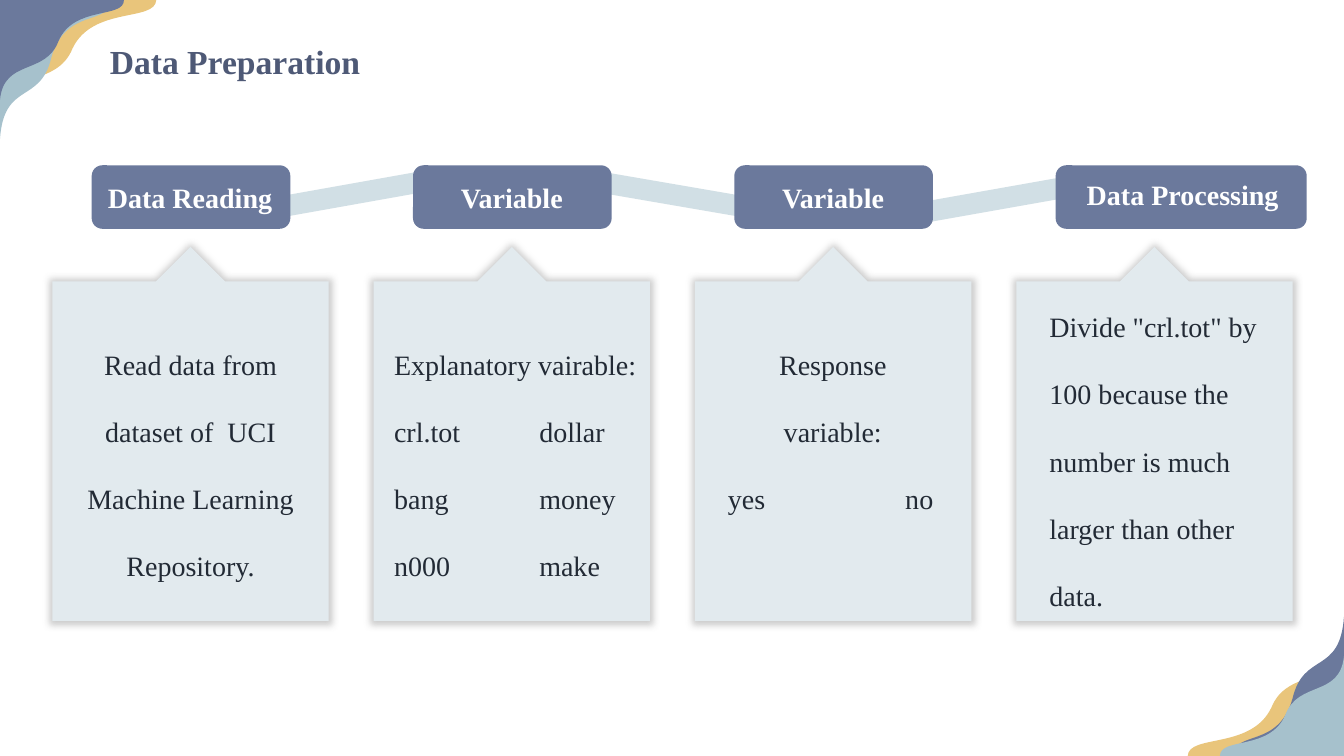
import pptx
import pptx.dml.color
import pptx.enum.shapes
import pptx.enum.text
import pptx.oxml
import pptx.oxml.ns
import pptx.util

Inches = pptx.util.Inches
Pt = pptx.util.Pt
Shapes = pptx.enum.shapes.MSO_SHAPE
Align = pptx.enum.text.PP_ALIGN

WIDTH, HEIGHT = 13.33, 7.5
SLATE, MIST, GOLD = "6B799C", "A6C1CC", "E9C57B"
PALE, BAND, INK, WHITE = "E2EAEE", "D1DFE5", "222A35", "FFFFFF"
STEP = 9.56 / 3


def color(hex_string):
    return pptx.dml.color.RGBColor.from_string(hex_string)


def element(xml):
    return pptx.oxml.parse_xml(xml.replace(">", f" {pptx.oxml.ns.nsdecls('a')}>", 1))


def write(box, lines, size=20, ink=INK, bold=False, spacing=None, aligns=(), tab=None):
    """Fill a text box, one paragraph per line; aligns may name one per line."""
    frame = box.text_frame
    frame.word_wrap = True
    frame.auto_size = pptx.enum.text.MSO_AUTO_SIZE.SHAPE_TO_FIT_TEXT
    for index, line in enumerate(lines):
        para = frame.paragraphs[0] if index == 0 else frame.add_paragraph()
        para.alignment = aligns[index] if index < len(aligns) else Align.LEFT
        if spacing:
            para.line_spacing = spacing
        if tab and "\t" in line:
            para._p.get_or_add_pPr().append(element(
                f'<a:tabLst><a:tab pos="{Inches(tab)}" algn="l"/></a:tabLst>'))
        span = para.add_run()
        span.text = line
        span.font.name = "Times New Roman"
        span.font.size = Pt(size)
        span.font.bold = bold
        span.font.color.rgb = color(ink)


class Page:
    def __init__(self, deck):
        self.shapes = deck.slides.add_slide(deck.slide_layouts[6]).shapes

    def paint(self, shape, fill):
        shape.shadow.inherit = False
        shape.fill.solid()
        shape.fill.fore_color.rgb = color(fill)
        shape.line.fill.background()
        return shape

    def block(self, kind, left, top, width, height, fill):
        shape = self.shapes.add_shape(
            kind, Inches(left), Inches(top), Inches(width), Inches(height))
        return self.paint(shape, fill)

    def callout(self, left):
        shape = self.block(Shapes.UP_ARROW_CALLOUT, left, 2.45, 2.74, 3.71, PALE)
        for index, value in enumerate((0.565, 0.125, 0.125, 0.908)):
            shape.adjustments[index] = value
        effects = shape._element.spPr.find(pptx.oxml.ns.qn("a:effectLst"))
        effects.append(element(
            f'<a:outerShdw blurRad="{Pt(5)}" sx="102000" sy="102000" algn="ctr" '
            'rotWithShape="0"><a:srgbClr val="808080"><a:alpha val="40000"/>'
            '</a:srgbClr></a:outerShdw>'))

    def band(self, start, end):
        line = self.shapes.add_connector(
            pptx.enum.shapes.MSO_CONNECTOR.STRAIGHT,
            *(Inches(value) for value in (*start, *end)))
        line.line.width = Pt(15)
        line.line.color.rgb = color(BAND)
        line._element.spPr.append(element("<a:effectLst></a:effectLst>"))

    def text(self, left, top, width, height, lines, **style):
        box = self.shapes.add_textbox(
            Inches(left), Inches(top), Inches(width), Inches(height))
        write(box, lines, **style)

    def wave(self, width, height, bend, pulls, fill, opposite):
        """Corner wave at the top left, or turned into the bottom right."""
        def place(point):
            x, y = point
            if opposite:
                x, y = WIDTH - x, HEIGHT - y
            return Inches(x), Inches(y)

        corners = [place(point) for point in
                   (bend, (0, height), (0, 0), (width, 0), bend)]
        builder = self.shapes.build_freeform(*corners[0])
        builder.add_line_segments(corners[1:], close=True)
        shape = self.paint(builder.convert_to_shape(), fill)

        # Bend the first and last sides into curves
        sides = list(shape._element.iter(pptx.oxml.ns.qn("a:lnTo")))
        for side, handles in ((sides[0], pulls[:2]), (sides[3], pulls[2:])):
            curve = element("<a:cubicBezTo></a:cubicBezTo>")
            for x, y in map(place, handles):
                curve.append(element(
                    f'<a:pt x="{x - shape.left}" y="{y - shape.top}"></a:pt>'))
            curve.append(side[0])
            side.getparent().replace(side, curve)


# (badge width, label offset, label top, label width, label)
BADGES = [
    (1.97, -0.1, 1.74, 2.15, "Data Reading"),
    (1.97, 0.19, 1.74, 1.58, "Variable"),
    (1.97, 0.19, 1.74, 1.58, "Variable"),
    (2.49, 0, 1.71, 2.52, "Data Processing"),
]

# (left, top, width, height, lines, alignments, tab)
BODIES = [
    (0.75, 3.06, 2.28, 2.79,
     ["Read data from dataset of  UCI Machine Learning Repository."],
     [Align.CENTER], None),
    (3.81, 3.06, 2.75, 2.79,
     ["Explanatory vairable:", "crl.tot\tdollar", "bang\tmoney", "n000\tmake"],
     [], 1.44),
    (7.12, 3.06, 2.28, 1.45, ["Response variable:", "yes\tno"], [Align.CENTER], 1.76),
    (10.31, 2.69, 2.28, 3.47,
     ['Divide "crl.tot" by 100 because the number is much larger than other data.'],
     [], None),
]

# (width, height, bend, curve handles, top left fill, bottom right fill)
WAVES = [
    (1.55, 1.16, (0.72, 0.48),
     [(0.56, 0.88), (0.06, 0.67), (1.54, 0.22), (0.92, 0.06)], GOLD, GOLD),
    (1.1, 1.38, (0.51, 0.57),
     [(0.4, 1.04), (0.04, 0.8), (1.09, 0.26), (0.65, 0.07)], MIST, SLATE),
    (1.23, 0.99, (0.58, 0.41),
     [(0.45, 0.75), (0.04, 0.58), (1.23, 0.19), (0.73, 0.05)], SLATE, MIST),
]


def main():
    deck = pptx.Presentation()
    deck.slide_width, deck.slide_height = Inches(WIDTH), Inches(HEIGHT)
    page = Page(deck)

    # Callout panels
    for index in range(4):
        page.callout(0.52 + STEP * index)

    # Bands linking the badges
    page.band((7.66, 2.1), (5.74, 1.77))
    page.band((9.03, 2.13), (10.95, 1.79))
    page.band((2.46, 2.11), (4.37, 1.77))

    # Step badges and descriptions
    for index, (badge, body) in enumerate(zip(BADGES, BODIES)):
        badge_width, offset, label_top, label_width, label = badge
        badge_left = 0.91 + STEP * index
        page.block(Shapes.ROUNDED_RECTANGLE, badge_left, 1.64, badge_width, 0.63, SLATE)
        page.text(badge_left + offset, label_top, label_width, 0.44, [label],
                  ink=WHITE, bold=True, aligns=[Align.CENTER])
        left, top, width, height, lines, aligns, tab = body
        page.text(left, top, width, height, lines, spacing=2.0, aligns=aligns, tab=tab)

    # Corner waves
    for opposite in (False, True):
        for width, height, bend, pulls, *fills in WAVES:
            page.wave(width, height, bend, pulls, fills[opposite], opposite)

    # Title
    page.text(0.99, 0.36, 3.61, 0.5, ["Data Preparation"],
              size=24, ink="4E5976", bold=True)

    deck.save("out.pptx")


if __name__ == "__main__":
    main()
